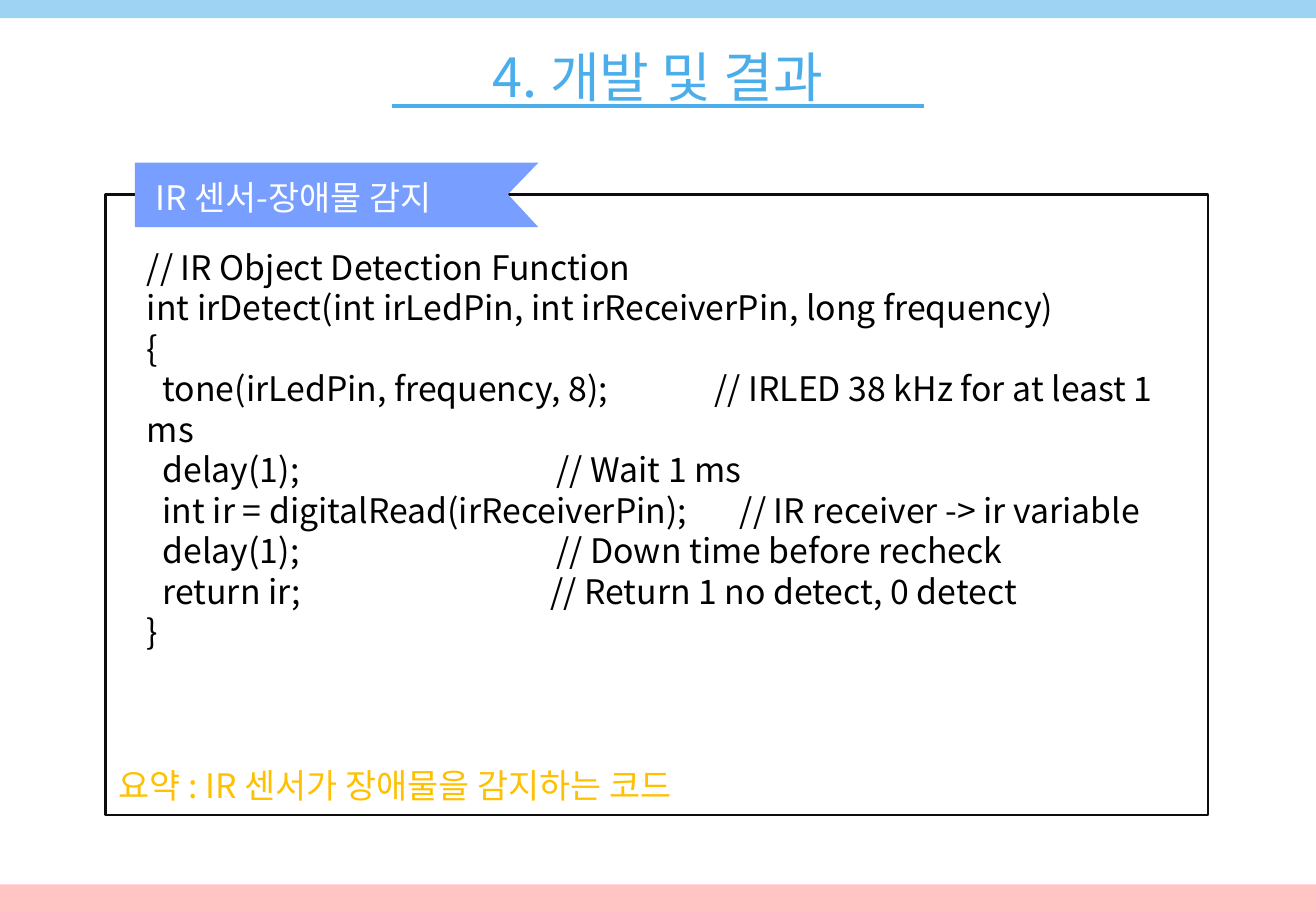
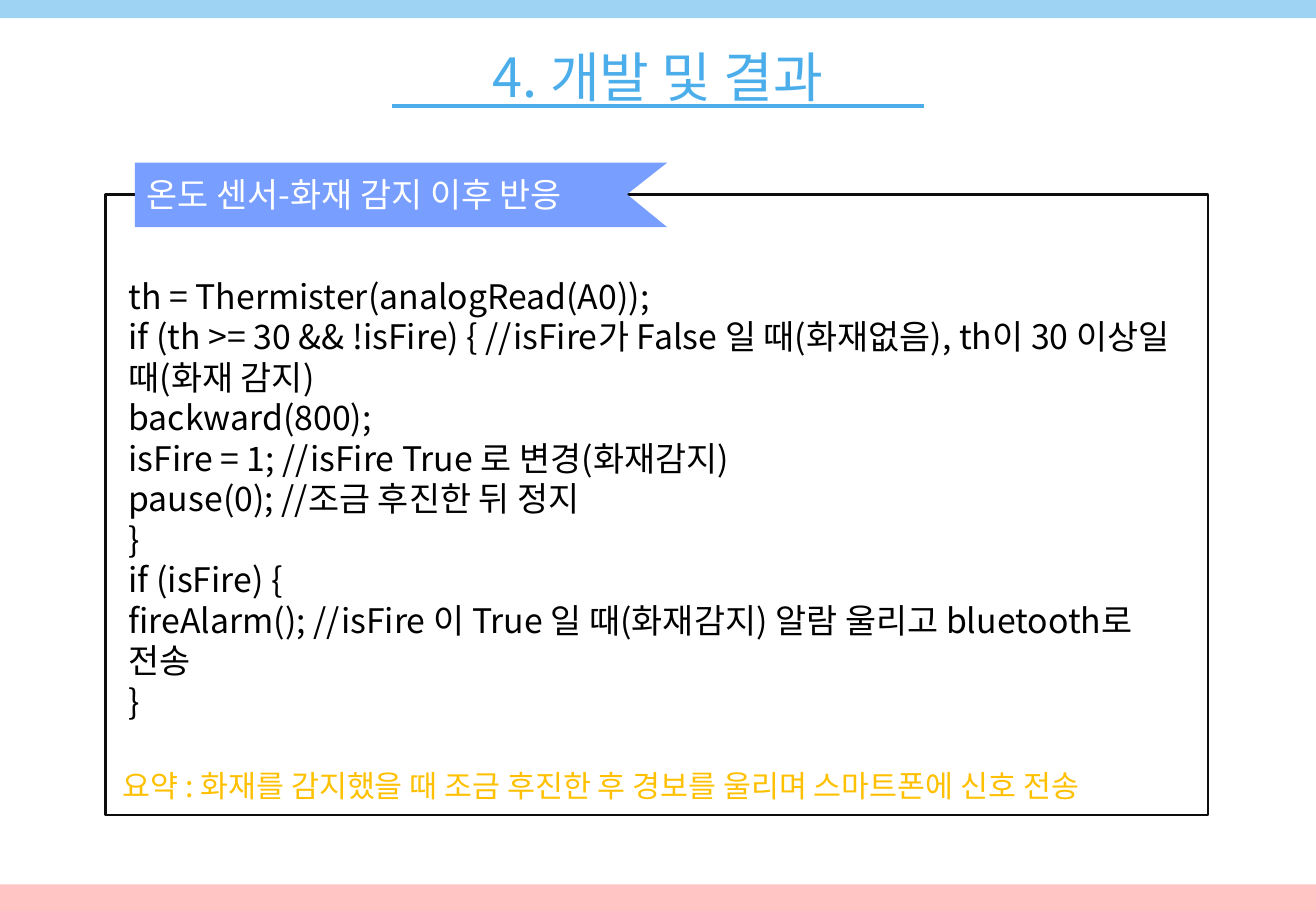
import pptx
import pptx.util
import pptx.dml.color
import pptx.enum.shapes
import pptx.enum.text
import pptx.oxml.ns
import lxml.etree

Inches, Pt = pptx.util.Inches, pptx.util.Pt
RGB = pptx.dml.color.RGBColor.from_string
MSO_SHAPE = pptx.enum.shapes.MSO_SHAPE
ALIGN = pptx.enum.text.PP_ALIGN
qn = pptx.oxml.ns.qn

FONT = "Noto Sans CJK KR"
COLORS = {
    "title": "4BAEEB", "top": "9ED3F4", "bottom": "FFC4C4", "ribbon": "789FFF",
    "frame": "0D0D0D", "code": "000000", "label": "FFFFFF", "summary": "FFC000",
}
WIDTH, HEIGHT = 10.83, 7.5
CODE_INDENT = 0.13


def add_text(s, lines, at, color, size=20, align=ALIGN.LEFT, inset=(0.1, 0.05)):
    """Add a text box; a (code, comment, tab) line is set on two tab stops."""
    tf = s.shapes.add_textbox(*[Inches(v) for v in at]).text_frame
    tf.word_wrap = True
    tf.margin_left = tf.margin_right = Inches(inset[0])
    tf.margin_top = tf.margin_bottom = Inches(inset[1])
    for i, line in enumerate(lines):
        p = tf.add_paragraph() if i else tf.paragraphs[0]
        p.alignment = align
        p.line_spacing = Pt(size * 1.2)
        r = p.add_run()
        if isinstance(line, tuple):
            code, comment, tab = line
            r.text = f"\t{code}\t{comment}"
            tabs = lxml.etree.SubElement(p._p.get_or_add_pPr(), qn("a:tabLst"))
            for pos in (CODE_INDENT, tab):
                lxml.etree.SubElement(tabs, qn("a:tab"), pos=str(Inches(pos)), algn="l")
        else:
            r.text = line
        r.font.size = Pt(size)
        r.font.name = FONT
        r.font.color.rgb = RGB(COLORS[color])


slides = [
    {
        "ribbon": (4.43, 4.18),  # right edge, notch
        "label": "IR 센서-장애물 감지",
        "label_at": (1.18, 1.41, 2.81, 0.44),
        "code": [
            "// IR Object Detection Function",
            "int irDetect(int irLedPin, int irReceiverPin, long frequency)",
            "{",
            ("tone(irLedPin, frequency, 8);", "// IRLED 38 kHz for at least 1 ms", 4.67),
            ("delay(1);", "// Wait 1 ms", 3.37),
            ("int ir = digitalRead(irReceiverPin);", "// IR receiver -> ir variable", 4.88),
            ("delay(1);", "// Down time before recheck", 3.37),
            ("return ir;", "// Return 1 no detect, 0 detect", 3.32),
            "}",
        ],
        "code_at": (1.11, 1.98, 8.81, 3.13),
        "summary": "요약 : IR 센서가 장애물을 감지하는 코드",
        "summary_at": (0.88, 6.25, 5.39, 0.44),
        "summary_size": 20,
    },
    {
        "ribbon": (5.49, 5.16),
        "label": "온도 센서-화재 감지 이후 반응",
        "label_at": (1.11, 1.38, 4.05, 0.44),
        "code": [
            "th = Thermister(analogRead(A0));",
            "if (th >= 30 && !isFire) { //isFire가 False 일 때(화재없음), th이 30 이상일 때(화재 감지)",
            "backward(800);",
            "isFire = 1; //isFire True 로 변경(화재감지)",
            "pause(0); //조금 후진한 뒤 정지",
            "}",
            "if (isFire) {",
            "fireAlarm(); //isFire 이 True 일 때(화재감지) 알람 울리고 bluetooth로 전송",
            "}",
        ],
        "code_at": (0.96, 2.22, 8.9, 3.13),
        "summary": "요약 : 화재를 감지했을 때 조금 후진한 후 경보를 울리며 스마트폰에 신호 전송",
        "summary_at": (0.91, 6.27, 8.85, 0.4),
        "summary_size": 18,
    },
]

prs = pptx.Presentation()
prs.slide_width, prs.slide_height = Inches(WIDTH), Inches(HEIGHT)

for content in slides:
    s = prs.slides.add_slide(prs.slide_layouts[6])

    # Frame
    sp = s.shapes.add_shape(
        MSO_SHAPE.RECTANGLE, Inches(0.87), Inches(1.6), Inches(9.07), Inches(5.11))
    sp.shadow.inherit = False
    sp.fill.background()
    sp.line.color.rgb = RGB(COLORS["frame"])
    sp.line.width = Pt(1.5)

    # Ribbon with its label
    right, notch = content["ribbon"]
    outline = [(1.11, 1.34), (right, 1.34), (notch, 1.6), (right, 1.87), (1.11, 1.87)]
    points = [(Inches(x), Inches(y)) for x, y in outline]
    builder = s.shapes.build_freeform(*points[0])
    builder.add_line_segments(points[1:], close=True)
    sp = builder.convert_to_shape()
    sp.shadow.inherit = False
    sp.fill.solid()
    sp.fill.fore_color.rgb = RGB(COLORS["ribbon"])
    sp.line.fill.background()
    add_text(s, [content["label"]], content["label_at"], "label")

    # Title and its underline
    line = s.shapes.add_connector(
        pptx.enum.shapes.MSO_CONNECTOR.STRAIGHT,
        Inches(3.23), Inches(0.87), Inches(7.6), Inches(0.87))
    line.line.color.rgb = RGB(COLORS["title"])
    line.line.width = Pt(2.25)
    lxml.etree.SubElement(line._element.spPr, qn("a:effectLst"))
    add_text(s, ["4. 개발 및 결과"], (3.4, 0.36, 4.03, 0.54), "title",
             size=32, align=ALIGN.CENTER, inset=(0, 0))

    # Top and bottom bands
    for color, top, height in (("top", 0, 0.15), ("bottom", 7.28, 0.22)):
        sp = s.shapes.add_shape(
            MSO_SHAPE.RECTANGLE, 0, Inches(top), prs.slide_width, Inches(height))
        sp.shadow.inherit = False
        sp.fill.solid()
        sp.fill.fore_color.rgb = RGB(COLORS[color])
        sp.line.fill.background()

    # Code and summary
    add_text(s, content["code"], content["code_at"], "code")
    add_text(s, [content["summary"]], content["summary_at"], "summary",
             size=content["summary_size"])

prs.save("out.pptx")
